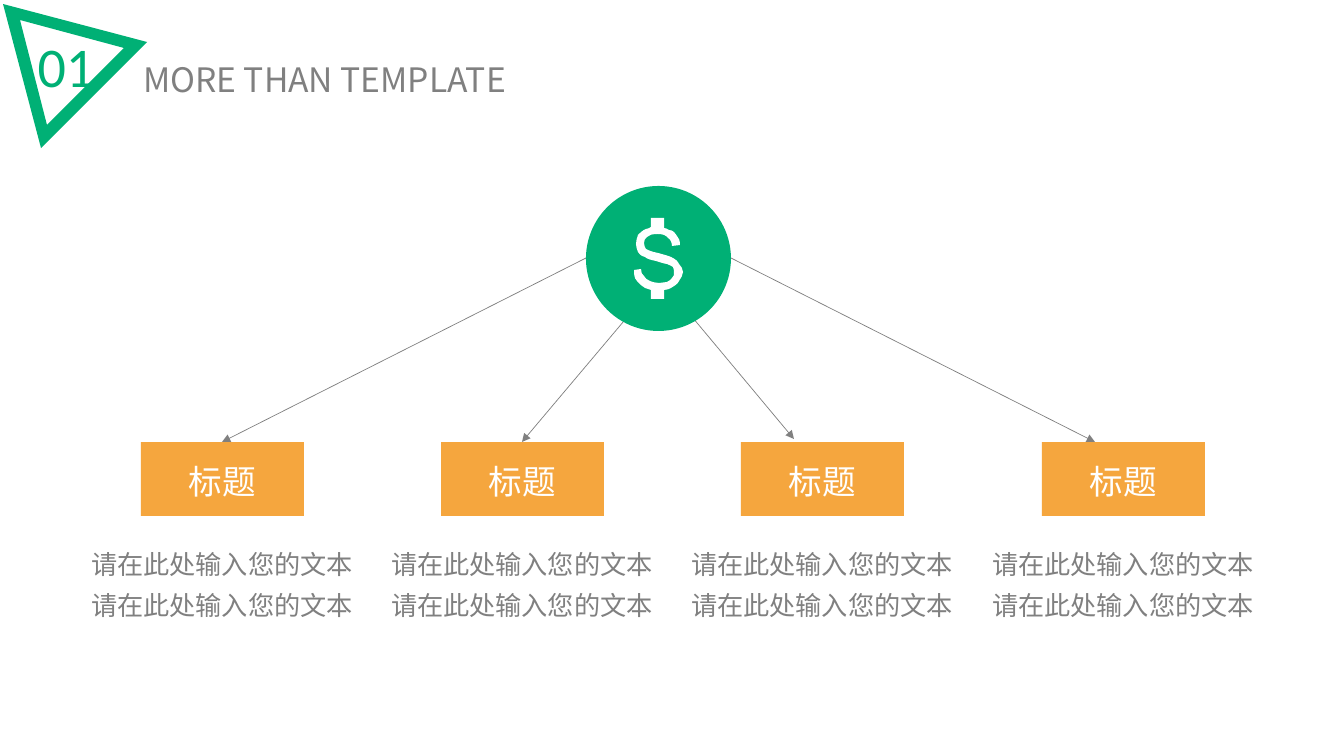
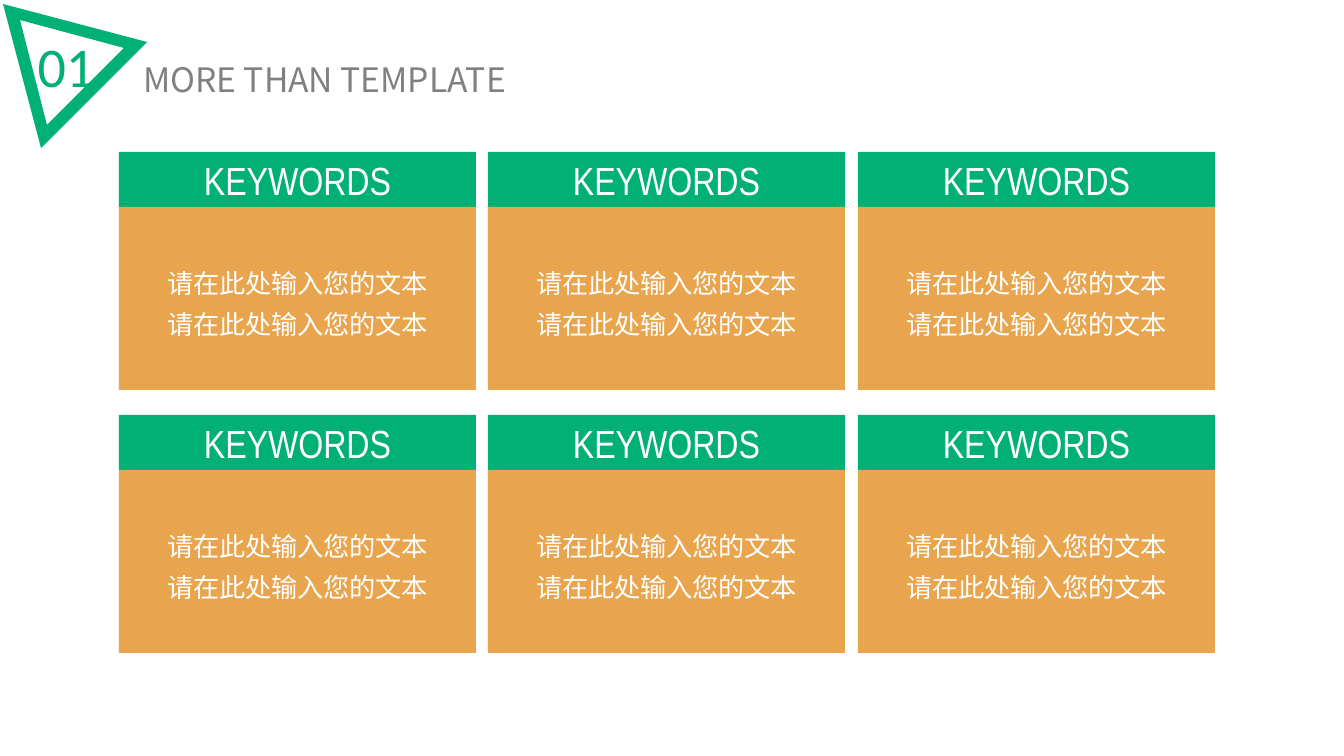
"""Build two slides: a four-branch diagram and a grid of keyword cards."""
import dataclasses
import typing

import lxml.etree
import pptx
import pptx.dml.color
import pptx.enum.shapes
import pptx.enum.text
import pptx.oxml.ns
import pptx.util

WIDE, HIGH = 1344, 756
SCALE = 12192000 / WIDE
GREEN, AMBER, SAND = "00B075", "F5A63E", "E9A54E"
GRAY, WHITE = "808080", "FFFFFF"
SANS = "Noto Sans CJK SC"
LINES = ["请在此处输入您的文本"] * 2
KIND = pptx.enum.shapes.MSO_SHAPE
ANCHOR = pptx.enum.text.MSO_ANCHOR
Point = tuple[int, int]


@dataclasses.dataclass(frozen=True)
class Style:
    size: float
    color: str
    font: str = SANS
    space: float = 1.0
    anchor: typing.Any = ANCHOR.MIDDLE
    wrap: bool = True


class Box(typing.NamedTuple):
    left: int
    top: int
    width: int
    height: int


class Arrow(typing.NamedTuple):
    start: Point
    end: Point


HEAD = Style(24, GRAY)
COUNT = Style(40, GREEN, "Calibri", wrap=False)
LABEL = Style(24, WHITE, anchor=ANCHOR.TOP, wrap=False)
NOTE = Style(18.67, GRAY, space=1.3, anchor=ANCHOR.TOP)
KEY = Style(28, WHITE, "Arial Narrow")
BODY = Style(18.67, WHITE, space=1.3)

RING = [
    [(3, 4), (147, 42), (41, 148)],
    [(20, 20), (47, 125), (124, 48)],
]
ARROWS = [
    Arrow((586, 258), (222, 442)),
    Arrow((624, 321), (522, 442)),
    Arrow((731, 258), (1095, 442)),
    Arrow((693, 318), (794, 439)),
]
DOLLAR = [
    (45, 46),
    (44, 43, 41, 41, 37, 39), (35, 38, 31, 37, 24, 35),
    (18, 34, 14, 32, 12, 31), (11, 30, 10, 27, 10, 25),
    (10, 23, 11, 20, 13, 19), (15, 17, 18, 16, 24, 16),
    (28, 16, 32, 17, 34, 20), (36, 21, 38, 24, 38, 28),
    (46, 27),
    (46, 23, 45, 20, 43, 18), (41, 15, 39, 12, 35, 12),
    (33, 11, 32, 10, 30, 10),
    (30, 0), (17, 0), (17, 9),
    (15, 10, 14, 11, 12, 11), (9, 12, 6, 15, 4, 17),
    (3, 20, 2, 23, 2, 26), (2, 29, 3, 31, 4, 34),
    (5, 36, 7, 38, 11, 39), (13, 41, 17, 42, 22, 43),
    (28, 45, 32, 46, 33, 46), (36, 47, 37, 48, 39, 49),
    (40, 51, 40, 53, 40, 55), (40, 57, 40, 58, 38, 60),
    (37, 61, 36, 63, 33, 64), (31, 64, 28, 65, 25, 65),
    (22, 65, 18, 64, 16, 63), (13, 62, 11, 60, 10, 58),
    (8, 57, 7, 54, 7, 51),
    (0, 52),
    (0, 56, 0, 60, 3, 63), (5, 66, 8, 68, 11, 70),
    (13, 71, 15, 71, 17, 72),
    (17, 81), (30, 81), (30, 72),
    (33, 72, 35, 71, 37, 70), (40, 68, 44, 66, 45, 63),
    (47, 60, 49, 57, 49, 54), (49, 51, 47, 48, 45, 46),
]


def px(*values: int) -> list[int]:
    return [round(value * SCALE) for value in values]


def rgb(code: str) -> pptx.dml.color.RGBColor:
    return pptx.dml.color.RGBColor.from_string(code)


def tag(name: str) -> str:
    return pptx.oxml.ns.qn("a:" + name)


def write(shape, lines: list[str], style: Style) -> None:
    frame = shape.text_frame
    frame.text = "\n".join(lines)
    frame.auto_size = pptx.enum.text.MSO_AUTO_SIZE.NONE
    frame.word_wrap = style.wrap
    frame.vertical_anchor = style.anchor
    for para in frame.paragraphs:
        para.alignment = pptx.enum.text.PP_ALIGN.CENTER
        para.line_spacing = style.space
        font = para.font
        font.size = pptx.util.Pt(style.size)
        font.name = style.font
        font.color.rgb = rgb(style.color)
        props = para._p.pPr.find(tag("defRPr"))
        lxml.etree.SubElement(props, tag("ea")).set("typeface", style.font)


def paint(shape, color: str) -> None:
    shape.shadow.inherit = False
    shape.fill.solid()
    shape.fill.fore_color.rgb = rgb(color)
    shape.line.fill.background()


def block(slide, kind, box: Box, color: str):
    shape = slide.shapes.add_shape(kind, *px(*box))
    paint(shape, color)
    return shape


def panel(slide, box: Box, color: str, lines: list[str], style: Style) -> None:
    write(block(slide, KIND.RECTANGLE, box, color), lines, style)


def label(slide, box: Box, lines: list[str], style: Style) -> None:
    write(slide.shapes.add_textbox(*px(*box)), lines, style)


def outline(slide, loops: list[list[Point]], color: str):
    pen = None
    for loop in loops:
        first, *rest = [tuple(px(*point)) for point in loop]
        if pen is None:
            pen = slide.shapes.build_freeform(*first, scale=1.0)
        else:
            pen.move_to(*first)
        pen.add_line_segments(rest, close=True)
    shape = pen.convert_to_shape()
    paint(shape, color)
    return shape


def curve(slide, parts: list[tuple], left: int, top: int, color: str) -> None:
    points = [(left + x, top + y) for part in parts
              for x, y in zip(part[::2], part[1::2])]
    shape = outline(slide, [points], color)
    nodes = iter(list(shape.element.iter(tag("lnTo"))))
    for part in parts[1:]:
        group = [next(nodes) for _ in range(len(part) // 2)]
        if len(group) == 3:
            bend = lxml.etree.Element(tag("cubicBezTo"))
            group[0].addprevious(bend)
            for node in group:
                bend.append(node[0])
                node.getparent().remove(node)


def link(slide, arrow: Arrow) -> None:
    line = slide.shapes.add_connector(
        pptx.enum.shapes.MSO_CONNECTOR.STRAIGHT,
        *px(*arrow.start, *arrow.end))
    line.line.color.rgb = rgb(GRAY)
    line.line.width = pptx.util.Pt(0.5)
    props = line.element.spPr
    stroke = props.find(tag("ln"))
    lxml.etree.SubElement(stroke, tag("tailEnd")).set("type", "triangle")
    lxml.etree.SubElement(props, tag("effectLst"))


def begin(deck):
    slide = deck.slides.add_slide(deck.slide_layouts[5])
    title = slide.shapes.title
    title.left, title.top, title.width, title.height = px(82, 54, 485, 51)
    write(title, ["MORE THAN TEMPLATE"], HEAD)
    label(slide, Box(27, 26, 78, 78), ["01"], COUNT)
    outline(slide, RING, GREEN)
    return slide


def branches(deck) -> None:
    slide = begin(deck)
    for col in range(4):
        left = 141 + 901 * col // 3
        block(slide, KIND.RECTANGLE, Box(left, 442, 163, 74), AMBER)
        label(slide, Box(left + 37, 456, 89, 51), ["标题"], LABEL)
        label(slide, Box(left - 66, 534, 294, 93), LINES, NOTE)
    for arrow in ARROWS:
        link(slide, arrow)
    block(slide, KIND.OVAL, Box(586, 186, 145, 145), GREEN)
    curve(slide, DOLLAR, 634, 218, WHITE)


def cards(deck) -> None:
    slide = begin(deck)
    for row in range(2):
        for col in range(3):
            left, top = 119 + 739 * col // 2, 152 + 263 * row
            panel(slide, Box(left, top, 357, 55), GREEN, ["KEYWORDS"], KEY)
            panel(slide, Box(left, top + 55, 357, 183), SAND, LINES, BODY)


def main() -> None:
    deck = pptx.Presentation()
    deck.slide_width, deck.slide_height = px(WIDE, HIGH)
    branches(deck)
    cards(deck)
    deck.save("out.pptx")


if __name__ == "__main__":
    main()
